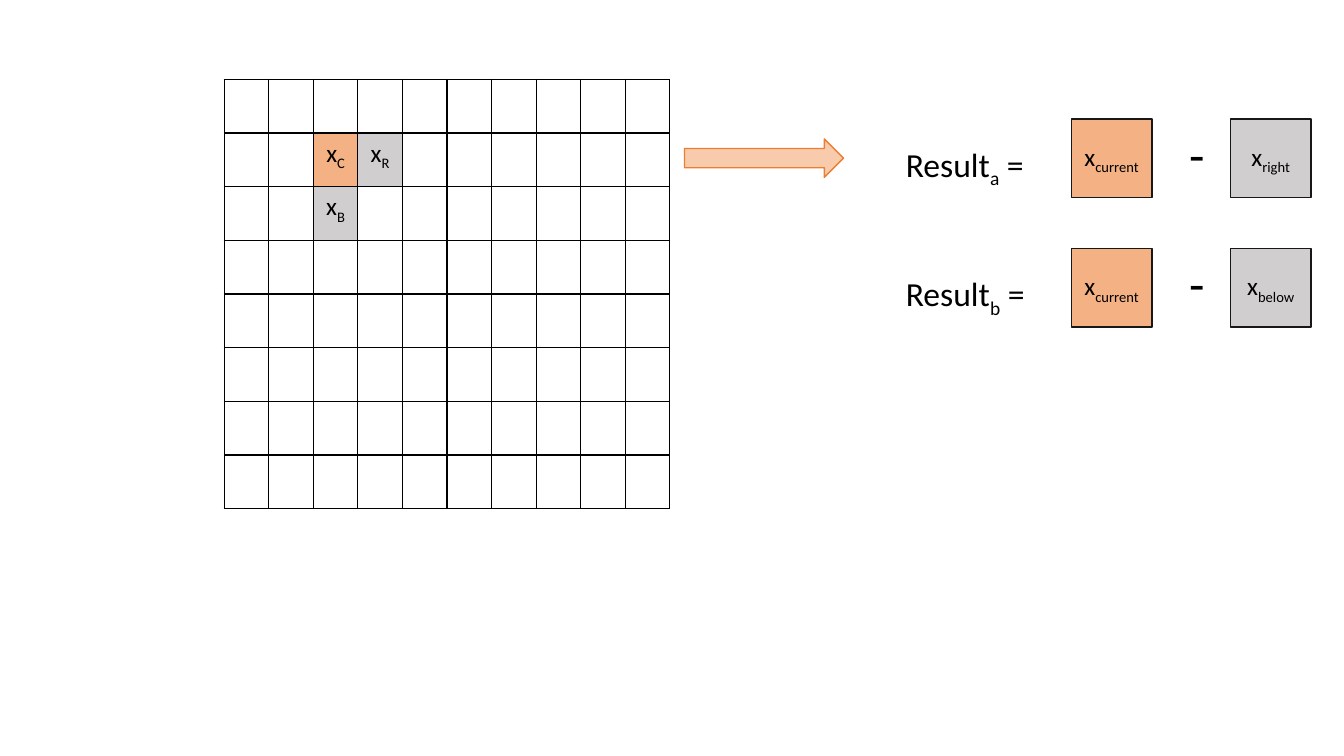
from lxml import etree
from pptx import Presentation
from pptx import util as u
from pptx.dml.color import RGBColor
from pptx.enum import shapes, text
from pptx.oxml import parse_xml

A = "http://schemas.openxmlformats.org/drawingml/2006/main"
ORANGE, GREY = "F4B183", "D0CECE"


def paint(target, fill, line=None):
    target.fill.solid()
    target.fill.fore_color.rgb = RGBColor.from_string(fill)
    if line:
        target.line.color.rgb = RGBColor.from_string(line)
        target.line.width = u.Pt(1)
        target.shadow.inherit = False


def write(frame, base, sub="", tail="", size=18, align=text.PP_ALIGN.CENTER):
    paragraph = frame.paragraphs[0]
    paragraph.alignment = align
    for part, baseline in ((base, 0), (sub, -25000), (tail, 0)):
        if part:
            run = paragraph.add_run()
            run.text = part
            run.font.size = u.Pt(size)
            run.font.name = "Calibri"
            run.font.color.rgb = RGBColor.from_string("000000")
            if baseline:
                run.font._element.set("baseline", str(baseline))


prs = Presentation()
prs.slide_width, prs.slide_height = u.Cm(33.87), u.Cm(19.05)
slide = prs.slides.add_slide(prs.slide_layouts[6])

pixels = slide.shapes.add_table(
    8, 10, u.Cm(5.65), u.Cm(2), u.Cm(11.23), u.Cm(10.82)).table
pixels.first_row = pixels.horz_banding = False
neighbours = {(1, 2): ("C", ORANGE), (1, 3): ("R", GREY), (2, 2): ("B", GREY)}
for row in range(8):
    for column in range(10):
        pixel = pixels.cell(row, column)
        borders = pixel._tc.get_or_add_tcPr()
        for side in "LRTB":
            borders.append(parse_xml(
                f'<a:ln{side} xmlns:a="{A}" w="12700"><a:solidFill>'
                f'<a:srgbClr val="000000"/></a:solidFill></a:ln{side}>'))
        label, colour = neighbours.get((row, column), ("", "FFFFFF"))
        paint(pixel, colour)
        if label:
            write(pixel.text_frame, "x", label)

arrow = slide.shapes.add_shape(
    shapes.MSO_SHAPE.RIGHT_ARROW, u.Cm(17.25), u.Cm(3.5), u.Cm(4.01), u.Cm(0.97))
paint(arrow, "F8CBAD", "ED7D31")

for index, (result, neighbour) in enumerate((("a", "right"), ("b", "below"))):
    top = 3 + 3.26 * index
    for left, term, colour in ((27, "current", ORANGE), (31.01, neighbour, GREY)):
        operand = slide.shapes.add_shape(
            shapes.MSO_SHAPE.RECTANGLE, u.Cm(left), u.Cm(top), u.Cm(2.03), u.Cm(1.98))
        paint(operand, colour, "181717")
        operand.text_frame.vertical_anchor = text.MSO_ANCHOR.MIDDLE
        write(operand.text_frame, "x", term)

    minus = slide.shapes.add_textbox(
        u.Cm(29.72), u.Cm(top - 0.02), u.Cm(0.91), u.Cm(1.8))
    minus.text_frame.word_wrap = False
    write(minus.text_frame, "-", size=36, align=text.PP_ALIGN.LEFT)

    equation = slide.shapes.add_textbox(
        u.Cm(22.58), u.Cm(top + 0.5), u.Cm(3.74), u.Cm(1.27))
    equation.text_frame.word_wrap = False
    write(equation.text_frame, "Result", result, " =", size=24,
          align=text.PP_ALIGN.LEFT)

prs.save("out.pptx")
